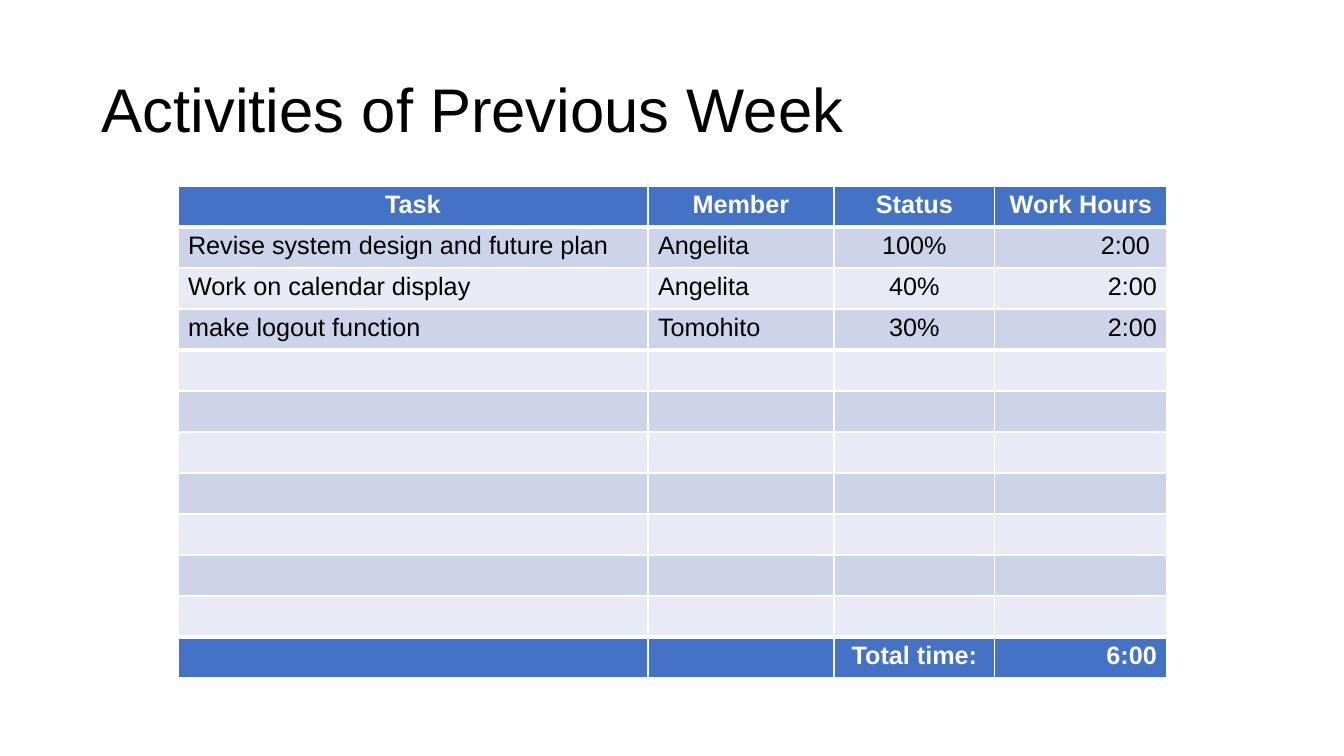
from lxml import etree
from pptx import Presentation, util as u
from pptx.dml.color import RGBColor
from pptx.enum import text
from pptx.oxml import ns

THEME = dict(
    font="Arial", title_size=44, cell_size=18,
    ink="000000", white="FFFFFF",
    accent="4472C4", bands=("E8EBF5", "CDD4EA"),
    thin=1, thick=3,
)
SCALE = 914400 / 100.8


def px(n):
    return u.Emu(round(n * SCALE))


def style(p, size, color, bold=False):
    p.font.name = THEME["font"]
    p.font.size = u.Pt(size)
    p.font.bold = bold
    p.font.color.rgb = RGBColor.from_string(color)


prs = Presentation()
prs.slide_width, prs.slide_height = px(1344), px(756)
s = prs.slides.add_slide(prs.slide_layouts[6])

# Title
tf = s.shapes.add_textbox(px(92), px(40), px(1159), px(146)).text_frame
tf.word_wrap = True
tf.vertical_anchor = text.MSO_ANCHOR.MIDDLE
p = tf.paragraphs[0]
p.text = "Activities of Previous Week"
p.line_spacing = 0.9
style(p, THEME["title_size"], THEME["ink"])

# Table content
header = ("Task", "Member", "Status", "Work Hours")
tasks = [
    ("Revise system design and future plan", "Angelita", "100%", "2:00 "),
    ("Work on calendar display", "Angelita", "40%", "2:00"),
    ("make logout function", "Tomohito", "30%", "2:00"),
]
empty_rows = 7
total = ("", "", "Total time:", "6:00")
rows = [header, *tasks, *[("",) * 4] * empty_rows, total]
last = len(rows) - 1
thick_below = {0, len(tasks), last - 1}

# Table grid
widths = (470, 186, 161, 172)
row_height = 41
table = s.shapes.add_table(len(rows), len(widths), px(178), px(186),
                           px(sum(widths)), px(row_height * len(rows))).table
table.first_row = table.horz_banding = False
for column, width in zip(table.columns, widths):
    column.width = px(width)
for row in table.rows:
    row.height = px(row_height)

# Cells
CENTER, LEFT, RIGHT = (text.PP_ALIGN.CENTER, text.PP_ALIGN.LEFT,
                       text.PP_ALIGN.RIGHT)
aligns = (LEFT, LEFT, CENTER, RIGHT)
for i, values in enumerate(rows):
    accented = i in (0, last)
    fill = THEME["accent"] if accented else THEME["bands"][i % 2]
    color = THEME["white" if accented else "ink"]
    top = THEME["thick" if i - 1 in thick_below else "thin"]
    bottom = THEME["thick" if i in thick_below else "thin"]
    borders = dict(lnL=THEME["thin"], lnR=THEME["thin"], lnT=top, lnB=bottom)
    for j, value in enumerate(values):
        cell = table.cell(i, j)
        p = cell.text_frame.paragraphs[0]
        if value:
            p.text = value
        p.alignment = CENTER if i == 0 else aligns[j]
        style(p, THEME["cell_size"], color, accented)
        tcPr = cell._tc.get_or_add_tcPr()
        for tag, weight in borders.items():
            ln = etree.SubElement(tcPr, ns.qn(f"a:{tag}"), w=str(u.Pt(weight)))
            solid = etree.SubElement(ln, ns.qn("a:solidFill"))
            etree.SubElement(solid, ns.qn("a:srgbClr"), val=THEME["white"])
        cell.fill.solid()
        cell.fill.fore_color.rgb = RGBColor.from_string(fill)

prs.save("out.pptx")
